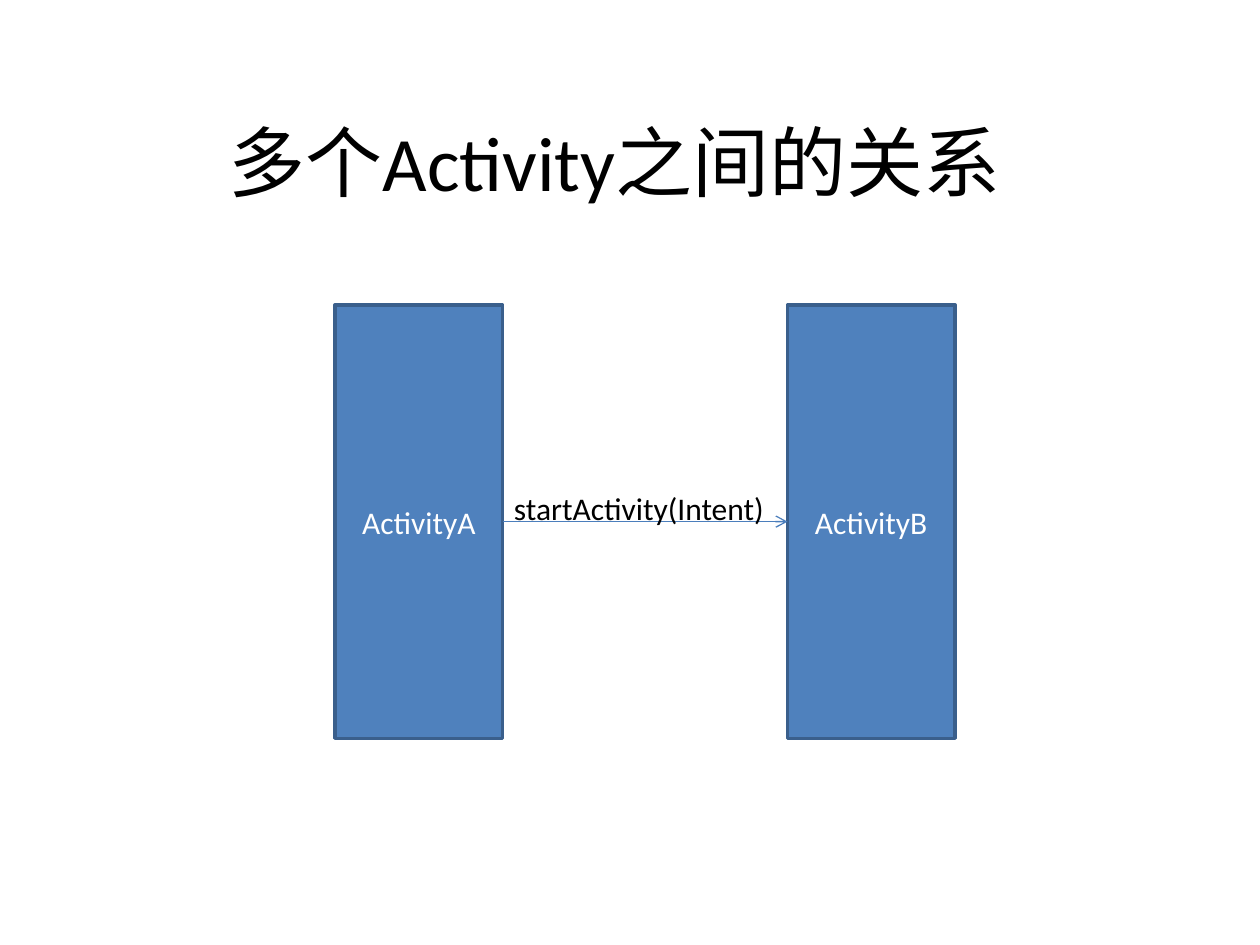
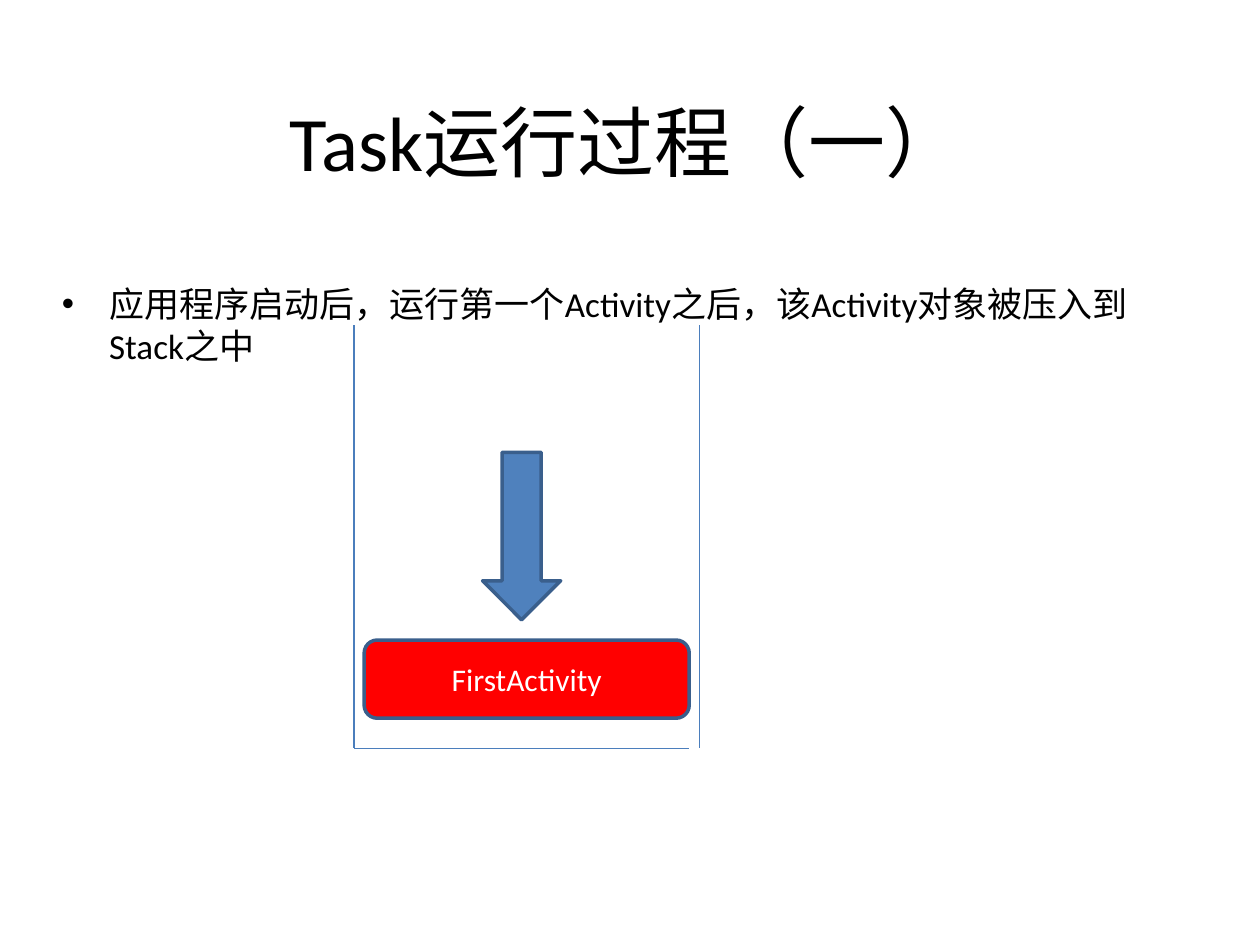
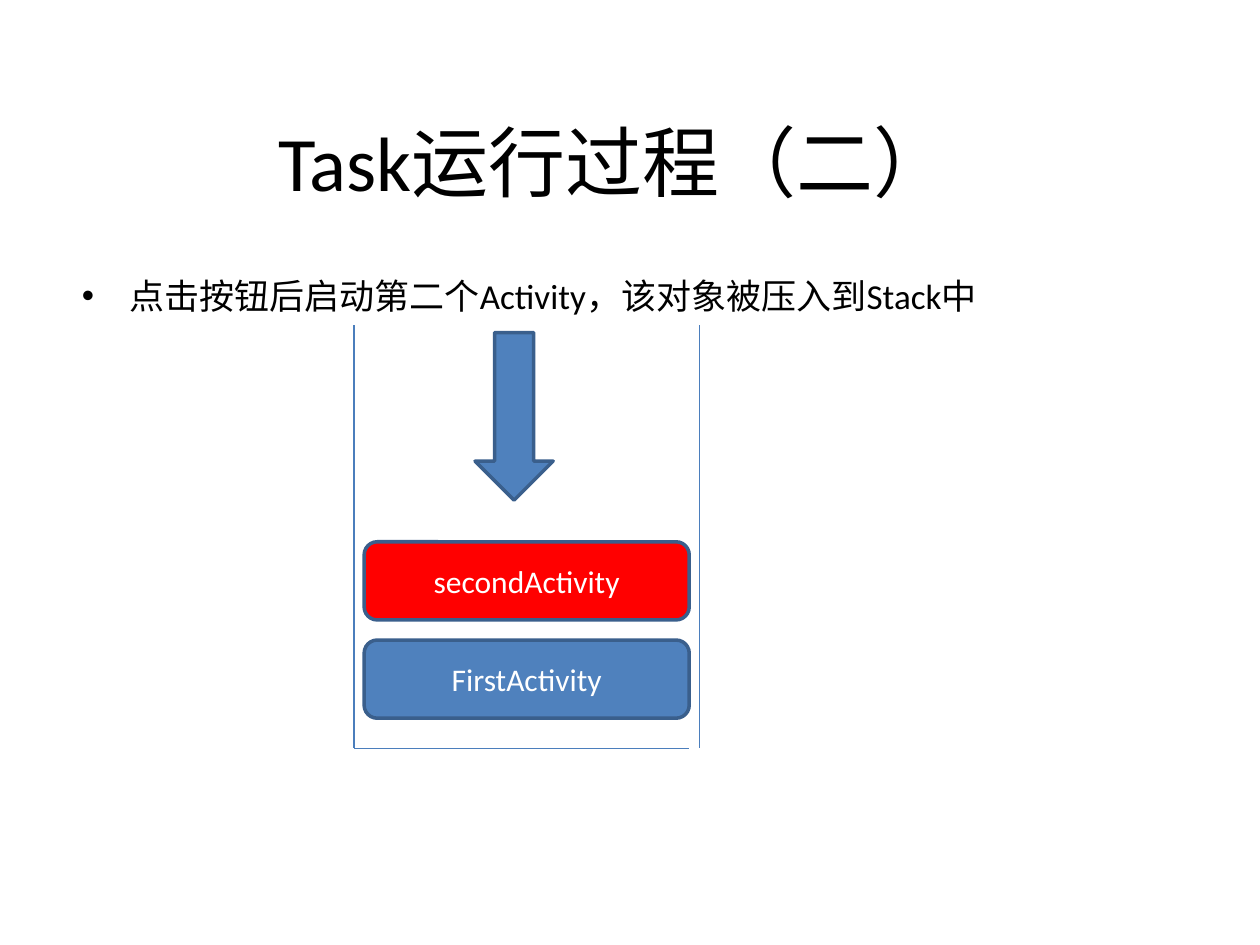
from lxml import etree
from pptx import Presentation
from pptx.dml.color import RGBColor
from pptx.enum.shapes import MSO_CONNECTOR as CONN, MSO_SHAPE as SHAPE
from pptx.enum.text import MSO_ANCHOR as ANCHOR, MSO_AUTO_SIZE as AUTO, PP_ALIGN as ALIGN
from pptx.oxml.ns import qn
from pptx.util import Inches, Pt

BLUE, RED, EDGE, LINE = "4F81BD", "FF0000", "3A5F8C", "4B7EBC"
BLACK, WHITE = "000000", "FFFFFF"
TITLE_ONLY, TITLE_BODY = 5, 1

RELATION = {
    "title": ("多个Activity之间的关系", 0.38, 0.86),
    "boxes": [("ActivityA", 2.66), ("ActivityB", 6.25)],
    "call": "startActivity(Intent)",
}
TASKS = [
    {
        "title": ("Task运行过程（一）", 0.47, 0.7),
        "body": ("应用程序启动后，运行第一个Activity之后，该Activity对象被压入到Stack之中", 0.39, 2.19, 4.95),
        "stack": ["FirstActivity"],
        "arrow": (3.83, 3.59),
    },
    {
        "title": ("Task运行过程（二）", 0.38, 0.86),
        "body": ("点击按钮后启动第二个Activity，该对象被压入到Stack中", 0.55, 2.13, 5.37),
        "stack": ["FirstActivity", "secondActivity"],
        "arrow": (3.77, 2.64),
    },
]
STACK_WALLS = [(2.81, 2.58, 2.81, 5.94), (2.81, 5.94, 5.47, 5.94), (5.55, 2.58, 5.55, 5.94)]
STACK_LEFT, STACK_BASE, STACK_STEP = 2.89, 5.08, 0.78


def rgb(value):
    """Turn a hex string into a colour."""
    return RGBColor.from_string(value)


def write(tf, text, size, color, **fmt):
    """Put one formatted paragraph into a text frame."""
    p = tf.paragraphs[0]
    for name, value in fmt.items():
        setattr(p, name, value)
    r = p.add_run()
    r.text = text
    for name, value in {"name": "Calibri", "size": Pt(size)}.items():
        setattr(r.font, name, value)
    r.font.color.rgb = rgb(color)


def fill_placeholder(sp, text, at, size, **fmt):
    """Move a placeholder and write its text from the top."""
    sp.left, sp.top, sp.width, sp.height = map(Inches, at)
    for name, value in {"vertical_anchor": ANCHOR.TOP, "auto_size": AUTO.NONE}.items():
        setattr(sp.text_frame, name, value)
    write(sp.text_frame, text, size, BLACK, **fmt)


def add_slide(prs, layout, title):
    """Add a slide with its title."""
    s = prs.slides.add_slide(prs.slide_layouts[layout])
    text, left, top = title
    fill_placeholder(s.shapes.title, text, (left, top, 9, 1.25), 44, alignment=ALIGN.CENTER)
    return s


def add_shape(s, kind, at, fill, text=""):
    """Add an outlined shape with an optional centred label."""
    sp = s.shapes.add_shape(kind, *map(Inches, at))
    sp.shadow.inherit = False
    sp.fill.solid()
    sp.fill.fore_color.rgb = rgb(fill)
    sp.line.color.rgb = rgb(EDGE)
    sp.line.width = Pt(2)
    if text:
        sp.text_frame.vertical_anchor = ANCHOR.MIDDLE
        write(sp.text_frame, text, 18, WHITE, alignment=ALIGN.CENTER)
    return sp


def add_line(s, ends):
    """Add a thin straight connector."""
    cx = s.shapes.add_connector(CONN.STRAIGHT, *map(Inches, ends))
    cx.line.color.rgb = rgb(LINE)
    cx.line.width = Pt(0.75)
    etree.SubElement(cx.element.spPr, qn("a:effectLst"))
    return cx


def relation_slide(prs):
    """Show one activity starting another."""
    s = add_slide(prs, TITLE_ONLY, RELATION["title"])
    caller, callee = [
        add_shape(s, SHAPE.RECTANGLE, (left, 2.42, 1.33, 3.44), BLUE, name)
        for name, left in RELATION["boxes"]
    ]
    cx = add_line(s, (3.99, 4.14, 6.25, 4.14))
    cx.begin_connect(caller, 3)
    cx.end_connect(callee, 1)
    etree.SubElement(cx.line._get_or_add_ln(), qn("a:tailEnd"), type="arrow")
    tf = s.shapes.add_textbox(*map(Inches, (3.98, 3.83, 2.19, 0.4))).text_frame
    tf.word_wrap = False
    tf.auto_size = AUTO.SHAPE_TO_FIT_TEXT
    write(tf, RELATION["call"], 18, BLACK)


def task_slide(prs, task):
    """Show the activity stack, with the newest activity in red."""
    s = add_slide(prs, TITLE_BODY, task["title"])
    text, left, top, height = task["body"]
    fill_placeholder(s.placeholders[1], text, (left, top, 9, height), 20)
    for wall in STACK_WALLS:
        add_line(s, wall)
    for i, name in enumerate(task["stack"]):
        at = (STACK_LEFT, STACK_BASE - i * STACK_STEP, 2.58, 0.62)
        newest = i == len(task["stack"]) - 1
        add_shape(s, SHAPE.ROUNDED_RECTANGLE, at, RED if newest else BLUE, name)
    add_shape(s, SHAPE.DOWN_ARROW, (*task["arrow"], 0.62, 1.33), BLUE)


def main():
    """Build the slides and save them."""
    prs = Presentation()
    prs.slide_width, prs.slide_height = Inches(10), Inches(7.5)
    relation_slide(prs)
    for task in TASKS:
        task_slide(prs, task)
    prs.save("out.pptx")


if __name__ == "__main__":
    main()
